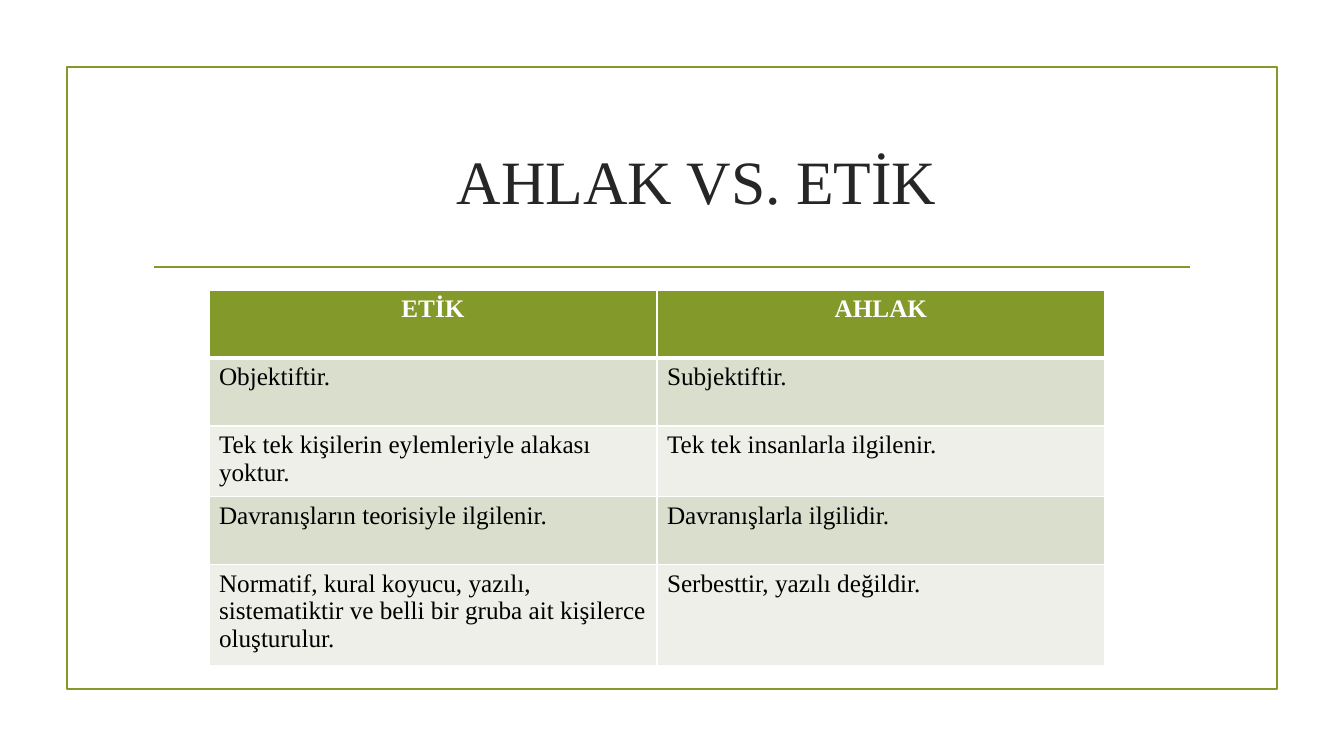
from pptx import Presentation
from pptx.dml.color import RGBColor
from pptx.enum.shapes import MSO_CONNECTOR, MSO_SHAPE
from pptx.enum.text import MSO_ANCHOR, PP_ALIGN
from pptx.oxml import parse_xml
from pptx.oxml.ns import nsdecls
from pptx.util import Pt
from lxml.etree import SubElement

PX = 914400 / 100.8
FONT = "Times New Roman"
COLORS = {
    "olive": "83992A",
    "title": "262626",
    "text": "000000",
    "white": "FFFFFF",
    "band_dark": "D9DECD",
    "band_light": "EDEFE8",
}


def px(*lengths):
    return [round(length * PX) for length in lengths]


def style(paragraph, size, color, bold=False):
    font = paragraph.runs[0].font
    font.name, font.size, font.bold = FONT, Pt(size), bold
    font.color.rgb = RGBColor.from_string(COLORS[color])


prs = Presentation()
prs.slide_width, prs.slide_height = px(1344, 756)
slide = prs.slides.add_slide(prs.slide_layouts[6])
olive = RGBColor.from_string(COLORS["olive"])

# Frame around the slide
frame = slide.shapes.add_shape(MSO_SHAPE.RECTANGLE, *px(67, 67, 1210, 622))
frame.shadow.inherit = False
frame.fill.background()
frame.line.color.rgb = olive
frame.line.width = Pt(1.25)

# Rule under the title
rule = slide.shapes.add_connector(MSO_CONNECTOR.STRAIGHT, *px(154, 267, 1190, 267))
rule.line.color.rgb = olive
rule.line.width = Pt(1.25)
SubElement(rule._element.spPr, "{http://schemas.openxmlformats.org/drawingml/2006/main}effectLst")

# Title, pushed right of centre by a left indent
title = slide.shapes.add_textbox(*px(143, 108, 1058, 144)).text_frame
title.word_wrap = True
title.vertical_anchor = MSO_ANCHOR.MIDDLE
title.text = "AHLAK VS. ETİK"
heading = title.paragraphs[0]
heading.alignment = PP_ALIGN.CENTER
heading._p.get_or_add_pPr().set("marL", str(px(50)[0]))
style(heading, 44, "title")

# Comparison table
comparison = [
    ("ETİK", "AHLAK"),
    ("Objektiftir.", "Subjektiftir."),
    ("Tek tek kişilerin eylemleriyle alakası yoktur.", "Tek tek insanlarla ilgilenir."),
    ("Davranışların teorisiyle ilgilenir.", "Davranışlarla ilgilidir."),
    ("Normatif, kural koyucu, yazılı, sistematiktir ve belli bir gruba ait kişilerce oluşturulur.",
     "Serbesttir, yazılı değildir."),
]
table = slide.shapes.add_table(len(comparison), 2, *px(209, 290, 896, 340)).table

for row, entries in enumerate(comparison):
    header = row == 0
    table.rows[row].height = px(68)[0]
    fill = "olive" if header else ("band_dark" if row % 2 else "band_light")
    for col, entry in enumerate(entries):
        cell = table.cell(row, col)
        cell.text = entry
        paragraph = cell.text_frame.paragraphs[0]
        paragraph.alignment = PP_ALIGN.CENTER if header else PP_ALIGN.LEFT
        style(paragraph, 18, "white" if header else "text", header)

        # White borders, thicker between header and body
        properties = cell._tc.get_or_add_tcPr()
        for side in ("lnL", "lnR", "lnT", "lnB"):
            thick = (row, side) in ((0, "lnB"), (1, "lnT"))
            properties.append(parse_xml(
                f'<a:{side} {nsdecls("a")} w="{Pt(3 if thick else 1)}"><a:solidFill>'
                f'<a:srgbClr val="{COLORS["white"]}"/></a:solidFill></a:{side}>'))
        cell.fill.solid()
        cell.fill.fore_color.rgb = RGBColor.from_string(COLORS[fill])

prs.save("out.pptx")
